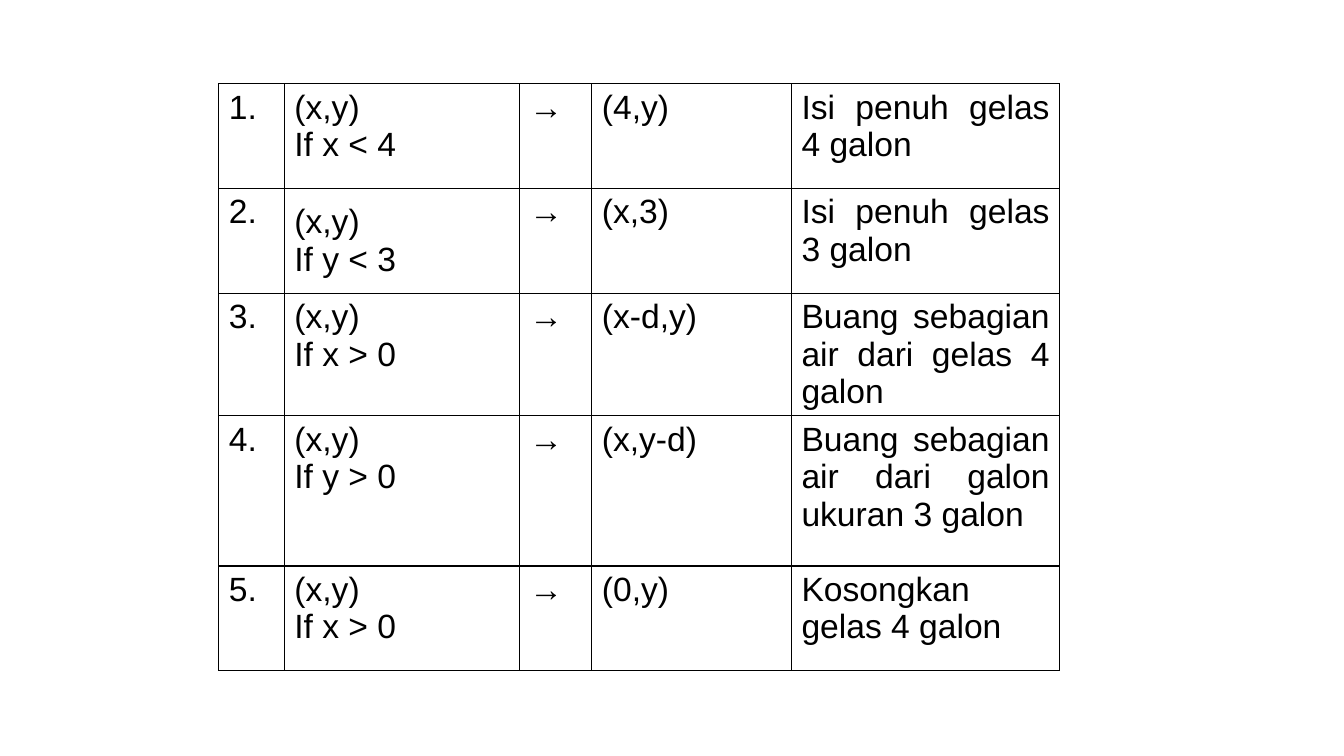
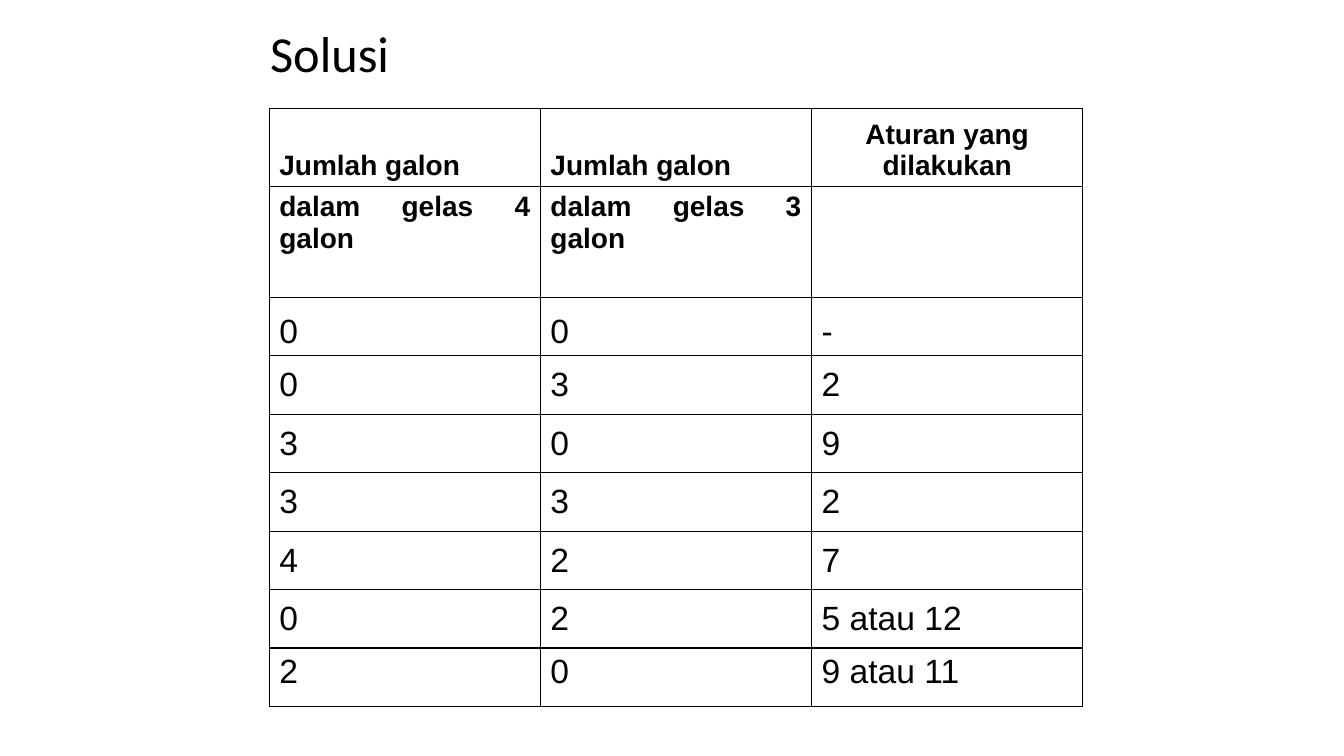
from lxml.etree import SubElement, Element
from pptx import Presentation
from pptx.dml.color import RGBColor
from pptx.enum.text import MSO_ANCHOR as ANCHOR, PP_ALIGN as ALIGN
from pptx.oxml.ns import qn
from pptx.util import Inches, Pt

BLACK = RGBColor(0, 0, 0)
TABLE_FONT, TITLE_FONT = "Arial", "Calibri"
HEADER_SIZE, BODY_SIZE, TITLE_SIZE = 20, 24, 36
BORDER_WIDTH = Pt(1)

# Content: production rules as number, condition, result, meaning
RULES = [
    ("x < 4", "(4,y)", "Isi penuh gelas 4 galon"),
    ("y < 3", "(x,3)", "Isi penuh gelas 3 galon"),
    ("x > 0", "(x-d,y)", "Buang sebagian air dari gelas 4 galon"),
    ("y > 0", "(x,y-d)", "Buang sebagian air dari galon ukuran 3 galon"),
    ("x > 0", "(0,y)", "Kosongkan gelas 4 galon"),
]
RULE_ROWS = [
    (f"{number}.", f"(x,y)\nIf {condition}", "→", result, meaning)
    for number, (condition, result, meaning) in enumerate(RULES, 1)
]
RULE_WIDTHS = [0.65, 2.33, 0.72, 1.98, 2.66]
RULE_HEIGHTS = [1.04, 1.04, 1.05, 1.49, 1.04]

# Content: the solution, one state per row
SOLUTION_TITLE = "Solusi"
SOLUTION_HEADER = [
    ("Jumlah galon", "Jumlah galon", "Aturan yang dilakukan"),
    ("dalam gelas 4 galon", "dalam gelas 3 galon", ""),
]
SOLUTION_STEPS = [
    ("0", "0", "-"),
    ("0", "3", "2"),
    ("3", "0", "9"),
    ("3", "3", "2"),
    ("4", "2", "7"),
    ("0", "2", "5 atau 12"),
    ("2", "0", "9 atau 11"),
]
SOLUTION_WIDTHS = [2.69] * 3
SOLUTION_HEIGHTS = [0.77, 1.1] + [0.58] * len(SOLUTION_STEPS)
SOLUTION_ANCHORS = ([ANCHOR.BOTTOM, ANCHOR.TOP, ANCHOR.BOTTOM]
                    + [ANCHOR.MIDDLE] * 5 + [ANCHOR.TOP])


def style_font(paragraph, name, size, bold=False):
    for run in paragraph.runs:
        run.font.name = name
        run.font.size = Pt(size)
        run.font.bold = bold
        run.font.color.rgb = BLACK


def add_borders(cell):
    properties = cell._tc.get_or_add_tcPr()
    for position, side in enumerate(("lnL", "lnR", "lnT", "lnB")):
        line = Element(qn(f"a:{side}"), w=str(BORDER_WIDTH))
        fill = SubElement(line, qn("a:solidFill"))
        SubElement(fill, qn("a:srgbClr"), val=str(BLACK))
        properties.insert(position, line)


def add_grid(page, left, top, widths, heights, rows, header_rows=0):
    """Add a plain ruled table with justified text."""
    table = page.shapes.add_table(
        len(rows), len(widths), Inches(left), Inches(top),
        Inches(sum(widths)), Inches(sum(heights))).table
    table.first_row = header_rows > 0
    table.horz_banding = False
    for column, width in zip(table.columns, widths):
        column.width = Inches(width)
    for index, (row, height, texts) in enumerate(zip(table.rows, heights, rows)):
        row.height = Inches(height)
        is_header = index < header_rows
        for cell, text in zip(row.cells, texts):
            cell.fill.background()
            add_borders(cell)
            cell.text_frame.text = text
            for paragraph in cell.text_frame.paragraphs:
                paragraph.alignment = ALIGN.JUSTIFY
                style_font(paragraph, TABLE_FONT,
                           HEADER_SIZE if is_header else BODY_SIZE, is_header)
    return table


def build_rules(page):
    table = add_grid(page, 2.17, 0.83, RULE_WIDTHS, RULE_HEIGHTS, RULE_ROWS)
    table.cell(1, 1).vertical_anchor = ANCHOR.MIDDLE


def build_solution(page):
    table = add_grid(page, 2.67, 1.08, SOLUTION_WIDTHS, SOLUTION_HEIGHTS,
                     SOLUTION_HEADER + SOLUTION_STEPS, len(SOLUTION_HEADER))
    for row, anchor in zip(table.rows, SOLUTION_ANCHORS):
        for cell in row.cells:
            cell.vertical_anchor = anchor
    table.cell(0, 2).text_frame.paragraphs[0].alignment = ALIGN.CENTER

    # Title
    box = page.shapes.add_textbox(Inches(2.58), Inches(0.17), Inches(1.39), Inches(0.71))
    box.text_frame.word_wrap = False
    box.text_frame.text = SOLUTION_TITLE
    style_font(box.text_frame.paragraphs[0], TITLE_FONT, TITLE_SIZE)


def main():
    deck = Presentation()
    deck.slide_width, deck.slide_height = Inches(13.33), Inches(7.5)
    for build in (build_rules, build_solution):
        build(deck.slides.add_slide(deck.slide_layouts[6]))
    deck.save("out.pptx")


if __name__ == "__main__":
    main()
